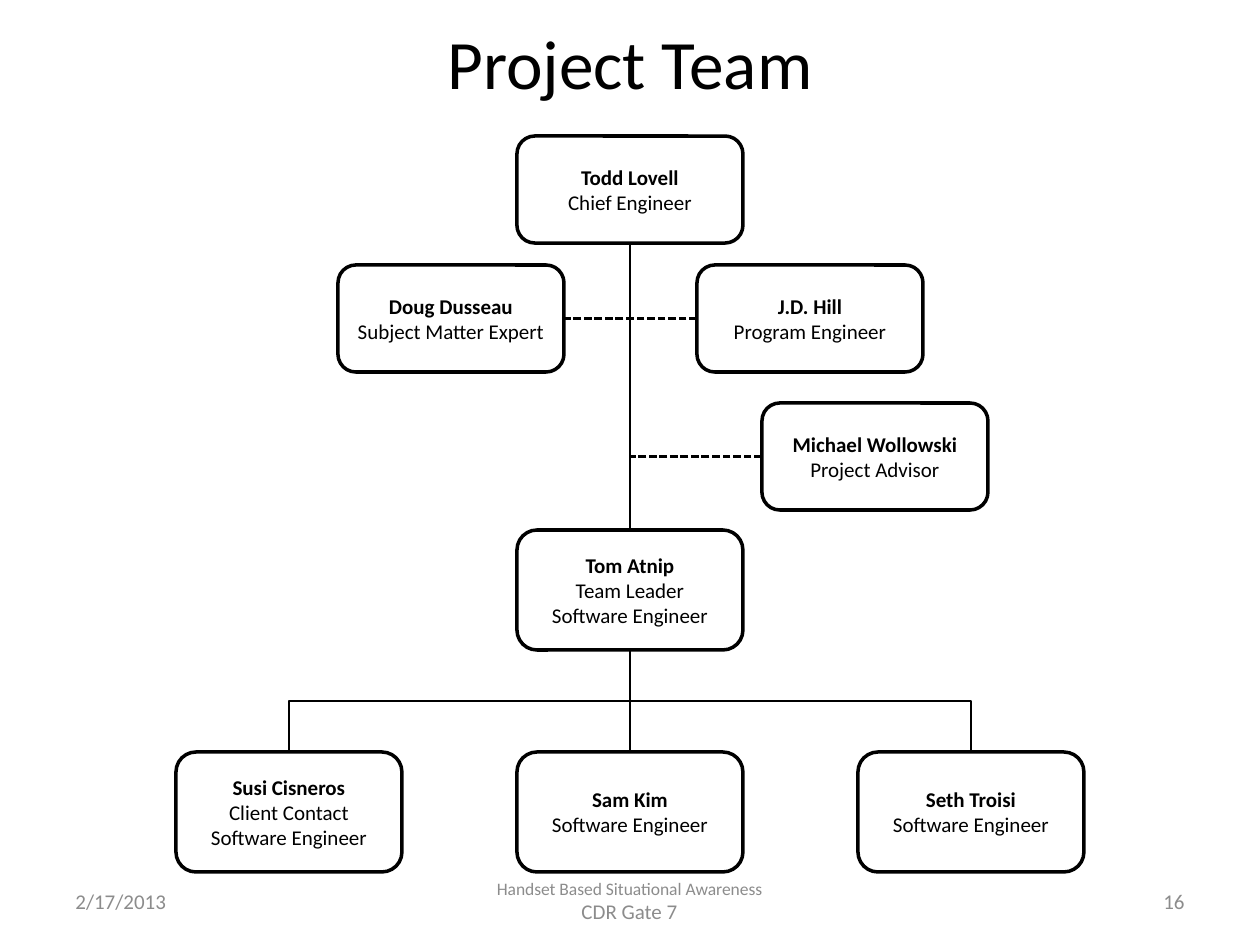
from dataclasses import dataclass

from pptx import Presentation
from pptx.dml.color import RGBColor
from pptx.enum.dml import MSO_LINE
from pptx.enum.shapes import MSO_CONNECTOR as CONN, MSO_SHAPE
from pptx.enum.text import MSO_ANCHOR, MSO_AUTO_SIZE, PP_ALIGN as ALIGN
from pptx.oxml.ns import qn
from pptx.util import Inches, Pt


@dataclass(frozen=True)
class Theme:
    font: str = "Calibri"
    ink: RGBColor = RGBColor(0, 0, 0)
    paper: RGBColor = RGBColor(255, 255, 255)
    muted: RGBColor = RGBColor(0x8C, 0x8C, 0x8C)
    title: float = 39.6
    text: float = 12
    small: float = 10
    border: float = 2
    link: float = 1.5


THEME = Theme()
BOX_W, BOX_H, TALL_H = 226, 107, 120
CENTER_X, STAFF_STEP, STAFF_Y = 517, 341, 752
TOP, BOTTOM, LEFT, RIGHT = 0, 2, 1, 3  # connection sites of a box


def px(n):
    return round(Inches(n / 126))


def style(r, size, color, bold=False):
    r.font.name = THEME.font
    r.font.size = Pt(size)
    r.font.color.rgb = color
    r.font.bold = bold


def add_title(s, text):
    sp = s.shapes.title
    sp.left, sp.top, sp.width, sp.height = px(63), px(19), px(1134), px(86)
    tf = sp.text_frame
    tf.text = text
    tf.auto_size = MSO_AUTO_SIZE.NONE
    tf.vertical_anchor = MSO_ANCHOR.MIDDLE
    p = tf.paragraphs[0]
    p.alignment = ALIGN.CENTER
    style(p.runs[0], THEME.title, THEME.ink)


def add_footer(s, x, y, w, h, align, *parts):
    """One footer line made of (text, size) parts."""
    tf = s.shapes.add_textbox(px(x), px(y), px(w), px(h)).text_frame
    tf.word_wrap = True
    tf.vertical_anchor = MSO_ANCHOR.MIDDLE
    p = tf.paragraphs[0]
    p.alignment = align
    for text, size in parts:
        r = p.add_run()
        r.text = text
        style(r, size, THEME.muted)


def add_person(s, x, y, h, name, *roles):
    sp = s.shapes.add_shape(MSO_SHAPE.ROUNDED_RECTANGLE,
                            px(x), px(y), px(BOX_W), px(h))
    sp.shadow.inherit = False
    sp.fill.solid()
    sp.fill.fore_color.rgb = THEME.paper
    sp.line.color.rgb = THEME.ink
    sp.line.width = Pt(THEME.border)
    tf = sp.text_frame
    tf.margin_left = tf.margin_right = tf.margin_top = tf.margin_bottom = px(1)
    tf.vertical_anchor = MSO_ANCHOR.MIDDLE
    tf.text = "\n".join((name, *roles))
    for i, p in enumerate(tf.paragraphs):
        p.alignment = ALIGN.CENTER
        style(p.runs[0], THEME.text, THEME.ink, bold=i == 0)
    return sp


def add_link(s, kind, x1, y1, x2, y2, dashed=False):
    c = s.shapes.add_connector(kind, x1, y1, x2, y2)
    c.line.color.rgb = THEME.ink
    c.line.width = Pt(THEME.link)
    if dashed:
        c.line.dash_style = MSO_LINE.SQUARE_DOT
    props = c._element.spPr
    props.append(props.makeelement(qn("a:effectLst"), {}))
    return c


def join(s, a, site_a, b, site_b, dashed=False):
    c = add_link(s, CONN.STRAIGHT, 0, 0, 0, 0, dashed)
    c.begin_connect(a, site_a)
    c.end_connect(b, site_b)


def add_branch(s, boss, member):
    """Elbow that leaves the boss downwards: a sideways elbow, turned."""
    x1, y1 = boss.left + boss.width // 2, boss.top + boss.height
    x2, y2 = member.left + member.width // 2, member.top
    mid_x, mid_y = (x1 + x2) // 2, (y1 + y2) // 2
    to_right = x2 > x1
    half_w = (y2 - y1) // 2 * (-1 if to_right else 1)
    half_h = abs(x2 - x1) // 2
    c = add_link(s, CONN.ELBOW, mid_x - half_w, mid_y - half_h,
                 mid_x + half_w, mid_y + half_h)
    turn = 270 if to_right else 90
    c._element.spPr.find(qn("a:xfrm")).set("rot", str(turn * 60000))


def main():
    prs = Presentation()
    prs.slide_width, prs.slide_height = Inches(10), Inches(7.5)
    s = prs.slides.add_slide(prs.slide_layouts[5])

    # Title and footer
    add_title(s, "Project Team")
    add_footer(s, 484, 882, 291, 38, ALIGN.CENTER,
               ("Handset Based Situational Awareness ", THEME.small),
               ("CDR Gate 7", THEME.text))
    add_footer(s, 63, 876, 294, 50, ALIGN.LEFT, ("2/17/2013", THEME.text))
    add_footer(s, 903, 876, 294, 50, ALIGN.RIGHT, ("16", THEME.text))

    # Leads and advisors
    chief = add_person(s, CENTER_X, 136, BOX_H, "Todd Lovell", "Chief Engineer")
    leader = add_person(s, CENTER_X, 530, TALL_H,
                        "Tom Atnip", "Team Leader", "Software Engineer")
    program = add_person(s, 697, 265, BOX_H, "J.D. Hill", "Program Engineer")
    expert = add_person(s, 338, 265, BOX_H,
                        "Doug Dusseau", "Subject Matter Expert")
    advisor = add_person(s, 762, 403, BOX_H,
                         "Michael Wollowski", "Project Advisor")

    # Staff row
    staff = [
        ("Susi Cisneros", "Client Contact", "Software Engineer"),
        ("Sam Kim", "Software Engineer"),
        ("Seth Troisi", "Software Engineer"),
    ]
    left, middle, right = [
        add_person(s, CENTER_X + (i - 1) * STAFF_STEP, STAFF_Y, TALL_H, *lines)
        for i, lines in enumerate(staff)
    ]

    # Reporting lines
    join(s, chief, BOTTOM, leader, TOP)
    join(s, leader, BOTTOM, middle, TOP)
    for member in (left, right):
        add_branch(s, leader, member)

    # Advisory lines
    join(s, program, LEFT, expert, RIGHT, dashed=True)
    advisor_y = advisor.top + advisor.height // 2
    add_link(s, CONN.STRAIGHT, advisor.left, advisor_y,
             chief.left + chief.width // 2, advisor_y, dashed=True)

    prs.save("out.pptx")


if __name__ == "__main__":
    main()
